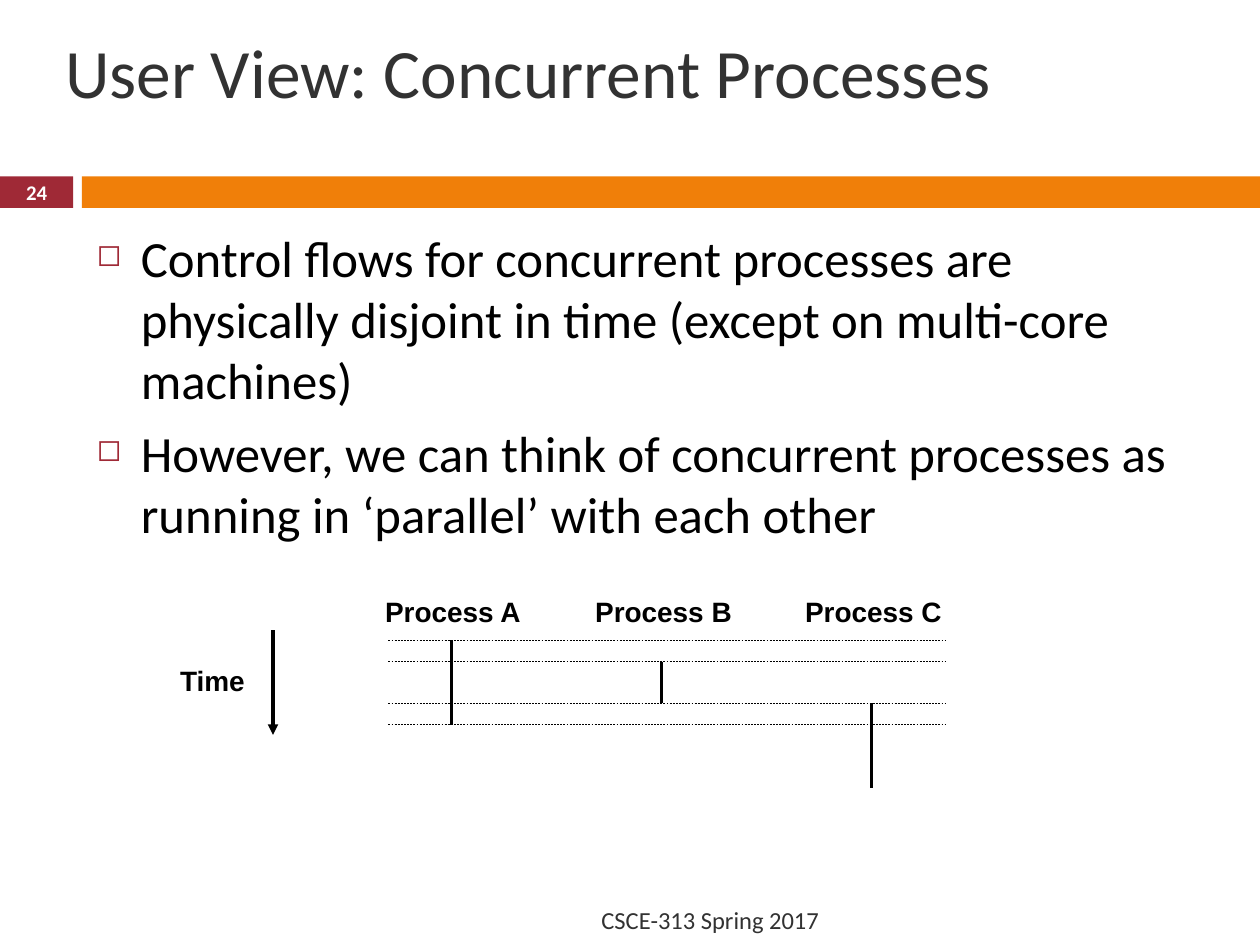
import pptx
import pptx.util
import pptx.dml.color
import pptx.enum.dml
import pptx.enum.shapes
import pptx.enum.text
from lxml import etree

Pt = pptx.util.Pt
ALIGN = pptx.enum.text.PP_ALIGN
ANCHOR = pptx.enum.text.MSO_ANCHOR

BARS = [((0, 100.8, 41.8, 18), "9F2936"), ((46.8, 100.8, 673.2, 18), "F07F09")]
BULLETS = [
    "Control flows for concurrent processes are physically disjoint in time (except on multi-core machines)",
    "However, we can think of concurrent processes as running in ‘parallel’ with each other",
]
TITLE = {"size": 39.6, "name": "Calibri", "color": "323232"}
BODY = {"size": 29, "name": "Calibri", "color": "000000"}
FOOTER = {"size": 14, "name": "Calibri", "color": "323232"}
NUMBER = {"size": 11.9, "name": "Calibri", "color": "FFFFFF", "bold": True}
LABEL = {"size": 16, "name": "Arial", "color": "000000", "bold": True}
TEXTS = [
    ((30.2, 18, 666, 45.4), ["User View: Concurrent Processes"], TITLE, ANCHOR.MIDDLE, ALIGN.LEFT),
    ((48.2, 126, 642.2, 372.2), BULLETS, BODY, ANCHOR.TOP, ALIGN.LEFT),
    ((48.2, 511.2, 427, 28.8), ["CSCE-313 Spring 2017"], FOOTER, ANCHOR.MIDDLE, ALIGN.RIGHT),
    ((0, 100, 41.8, 19.4), ["24"], NUMBER, ANCHOR.MIDDLE, ALIGN.CENTER),
    ((95.8, 375.8, 51.8, 26.6), ["Time"], LABEL, ANCHOR.TOP, ALIGN.LEFT),
]

STEP, START = 12, 366
FIRST_X, PROCESS_GAP = 258, 120
PROCESSES = [("Process A", [0, 2]), ("Process B", [1]), ("Process C", [3, 5])]
SWITCHES = [0, 1, 3, 4]
RUN_STEPS = 2


def rgb(value):
    return pptx.dml.color.RGBColor.from_string(value)


def add_bullet(p):
    pPr = p._p.get_or_add_pPr()
    pPr.set("marL", str(Pt(25.2)))
    pPr.set("indent", str(-Pt(25.2)))
    p.space_before = Pt(7)
    ns = pptx.oxml.ns.qn
    color = etree.SubElement(pPr, ns("a:buClr"))
    etree.SubElement(color, ns("a:srgbClr"), val="9F2936")
    etree.SubElement(pPr, ns("a:buSzPct"), val="60000")
    etree.SubElement(pPr, ns("a:buChar"), char="◻")


def add_text(s, box, lines, style, anchor, align):
    sp = s.shapes.add_textbox(*map(Pt, box))
    tf = sp.text_frame
    tf.word_wrap = style is not LABEL
    tf.vertical_anchor = anchor
    for i, line in enumerate(lines):
        p = tf.paragraphs[0] if i == 0 else tf.add_paragraph()
        p.alignment = align
        r = p.add_run()
        r.text = line
        for key, value in style.items():
            if key == "color":
                r.font.color.rgb = rgb(value)
            else:
                setattr(r.font, key, Pt(value) if key == "size" else value)
        if style is BODY:
            add_bullet(p)


def add_line(s, x1, y1, x2, y2, width=2, dash=False, arrow=False):
    sp = s.shapes.add_connector(pptx.enum.shapes.MSO_CONNECTOR.STRAIGHT, *map(Pt, (x1, y1, x2, y2)))
    sp.line.color.rgb = rgb("000000")
    sp.line.width = Pt(width)
    if dash:
        sp.line.dash_style = pptx.enum.dml.MSO_LINE.DASH
    ns = pptx.oxml.ns.qn
    if arrow:
        etree.SubElement(sp.line._get_or_add_ln(), ns("a:tailEnd"), type="triangle")
    etree.SubElement(sp._element.spPr, ns("a:effectLst"))


def main():
    prs = pptx.Presentation()
    prs.slide_width, prs.slide_height = Pt(720), Pt(540)
    s = prs.slides.add_slide(prs.slide_layouts[6])
    for box, color in BARS:
        sp = s.shapes.add_shape(pptx.enum.shapes.MSO_SHAPE.RECTANGLE, *map(Pt, box))
        sp.shadow.inherit = False
        sp.fill.solid()
        sp.fill.fore_color.rgb = rgb(color)
        sp.line.fill.background()
    for text in TEXTS:
        add_text(s, *text)
    add_line(s, 156, 360, 156, 420, arrow=True)
    for i, (name, runs) in enumerate(PROCESSES):
        x = FIRST_X + i * PROCESS_GAP
        add_text(s, (x - 45, 336.2, 93, 26.6), [name], LABEL, ANCHOR.TOP, ALIGN.LEFT)
        for run in runs:
            y = START + run * STEP
            add_line(s, x, y, x, y + RUN_STEPS * STEP)
    for switch in SWITCHES:
        y = START + switch * STEP
        add_line(s, 222, y, 540, y, width=0.25, dash=True)
    prs.save("out.pptx")


if __name__ == "__main__":
    main()
